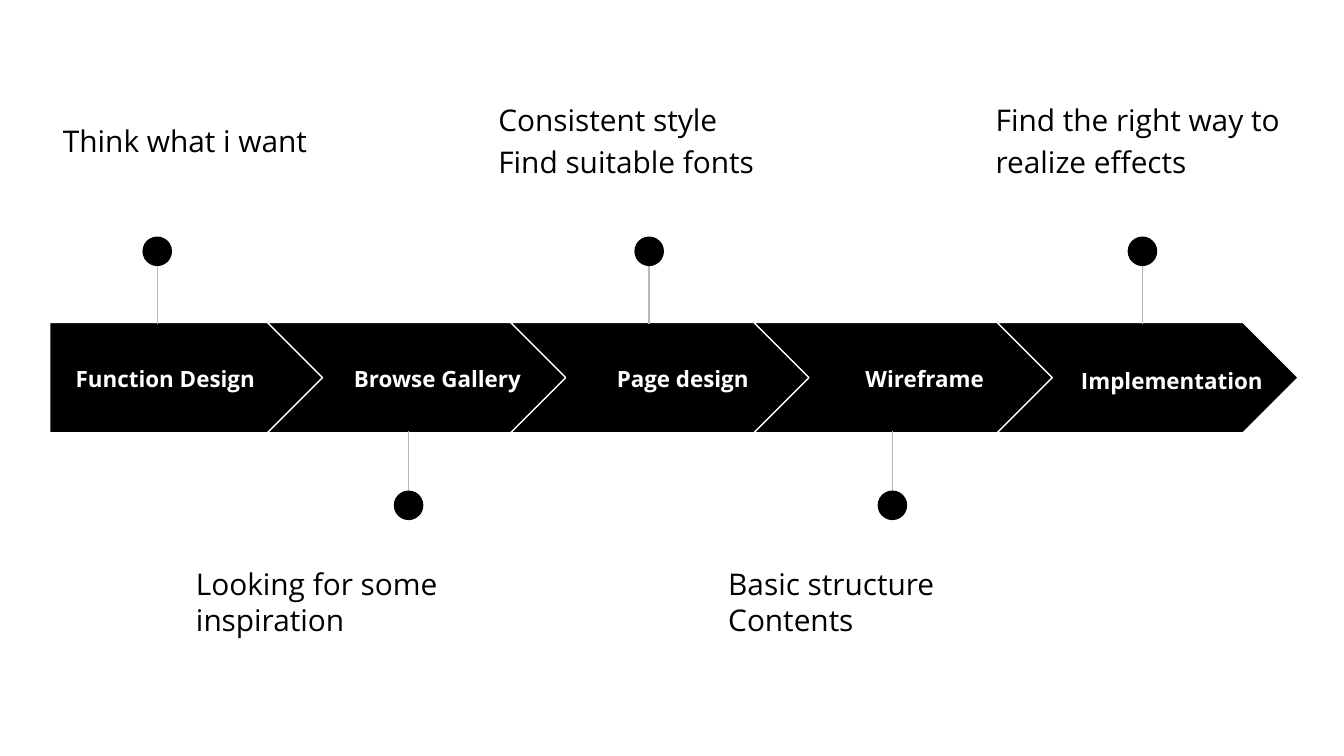
import pptx
import pptx.dml.color
import pptx.enum.shapes
import pptx.enum.text
import pptx.oxml.ns
import pptx.util
from pptx.util import Inches

COLORS = {"ink": "000000", "paper": "FFFFFF", "stem": "B7B7B7"}
SHAPES = pptx.enum.shapes.MSO_SHAPE
ALIGN = pptx.enum.text.PP_ALIGN
ANCHOR = pptx.enum.text.MSO_ANCHOR

ARROW_TOP, ARROW_HEIGHT = 2.4, 0.82
CHEVRON_LEFT, CHEVRON_WIDTH, CHEVRON_STEP = 1.99, 2.24, 1.81
DOT = 0.22

# label, (label left, top, width), pin centre, note lines, (note left, top)
STEPS = [
    ("Function Design", (0.37, 2.56, 1.72), 1.17,
     ["Think what i want"], (0.37, 0.77)),
    ("Browse Gallery", (2.33, 2.56, 1.85), 3.04,
     ["Looking for some inspiration"], (1.36, 4.11)),
    ("Page design", (4.12, 2.56, 1.92), 4.83,
     ["Consistent style", "Find suitable fonts"], (3.61, 0.62)),
    ("Wireframe", (5.92, 2.56, 1.92), 6.64,
     ["Basic structure Contents"], (5.32, 4.11)),
    ("Implementation", (7.78, 2.58, 1.88), 8.5,
     ["Find the right way to realize effects"], (7.31, 0.62)),
]


def color(name):
    return pptx.dml.color.RGBColor.from_string(COLORS[name])


class ProcessSlide:
    font = "Open Sans"
    line_width = pptx.util.Pt(0.75)

    def __init__(self, deck):
        self.slide = deck.slides.add_slide(deck.slide_layouts[6])

    def shape(self, kind, left, top, width, height, outline=None):
        shape = self.slide.shapes.add_shape(
            kind, Inches(left), Inches(top), Inches(width), Inches(height))
        shape.shadow.inherit = False
        shape.fill.solid()
        shape.fill.fore_color.rgb = color("ink")
        if outline:
            shape.line.color.rgb = color(outline)
            shape.line.width = self.line_width
        else:
            shape.line.fill.background()
        return shape

    def arrow(self, kind, left, width):
        arrow = self.shape(kind, left, ARROW_TOP, width, ARROW_HEIGHT, "paper")
        arrow.adjustments[0] = 0.5

    def text(self, lines, left, top, width, height, size, ink, bold=False,
             align=ALIGN.LEFT, anchor=ANCHOR.TOP, spacing=1.0):
        box = self.slide.shapes.add_textbox(
            Inches(left), Inches(top), Inches(width), Inches(height))
        frame = box.text_frame
        frame.word_wrap = True
        frame.vertical_anchor = anchor
        frame.margin_left = frame.margin_right = Inches(0.1)
        frame.margin_top = frame.margin_bottom = Inches(0.1)
        para = frame.paragraphs[0]
        para.alignment = align
        para.line_spacing = spacing
        for index, line in enumerate(lines):
            if index:
                para.add_line_break()
            span = para.add_run()
            span.text = line
            span.font.name = self.font
            span.font.size = pptx.util.Pt(size)
            span.font.bold = bold
            span.font.color.rgb = color(ink)

    def label(self, words, left, top, width):
        self.text([words], left, top, width, 0.51, 12, "paper", bold=True,
                  align=ALIGN.CENTER, anchor=ANCHOR.MIDDLE)

    def pin(self, center, above):
        start, end, dot_top = (1.8, 2.41, 1.76) if above else (3.82, 3.21, 3.65)
        stem = self.slide.shapes.add_connector(
            pptx.enum.shapes.MSO_CONNECTOR.STRAIGHT,
            Inches(center), Inches(start), Inches(center), Inches(end))
        stem.line.color.rgb = color("stem")
        stem.line.width = self.line_width
        properties = stem.element.spPr
        properties.append(properties.makeelement(pptx.oxml.ns.qn("a:effectLst"), {}))
        self.shape(SHAPES.OVAL, center - DOT / 2, dot_top, DOT, DOT)

    def note(self, lines, left, top, above):
        self.text(lines, left, top, 2.45, 0.99, 16, "ink",
                  spacing=1.15 if above else 1.0)


def main():
    # Widescreen 16:9 page
    deck = pptx.Presentation()
    deck.slide_width = Inches(10)
    deck.slide_height = deck.slide_width * 9 // 16
    page = ProcessSlide(deck)

    for index, (words, label_place, center, lines, note_place) in enumerate(STEPS):
        above = index % 2 == 0
        # Process arrow with its label
        if index == 0:
            page.arrow(SHAPES.PENTAGON, 0.37, 2.05)
        else:
            page.arrow(SHAPES.CHEVRON,
                       CHEVRON_LEFT + (index - 1) * CHEVRON_STEP, CHEVRON_WIDTH)
        page.label(words, *label_place)
        # Pin and note, alternating above and below the arrows
        page.pin(center, above)
        page.note(lines, *note_place, above)

    deck.save("out.pptx")


if __name__ == "__main__":
    main()
